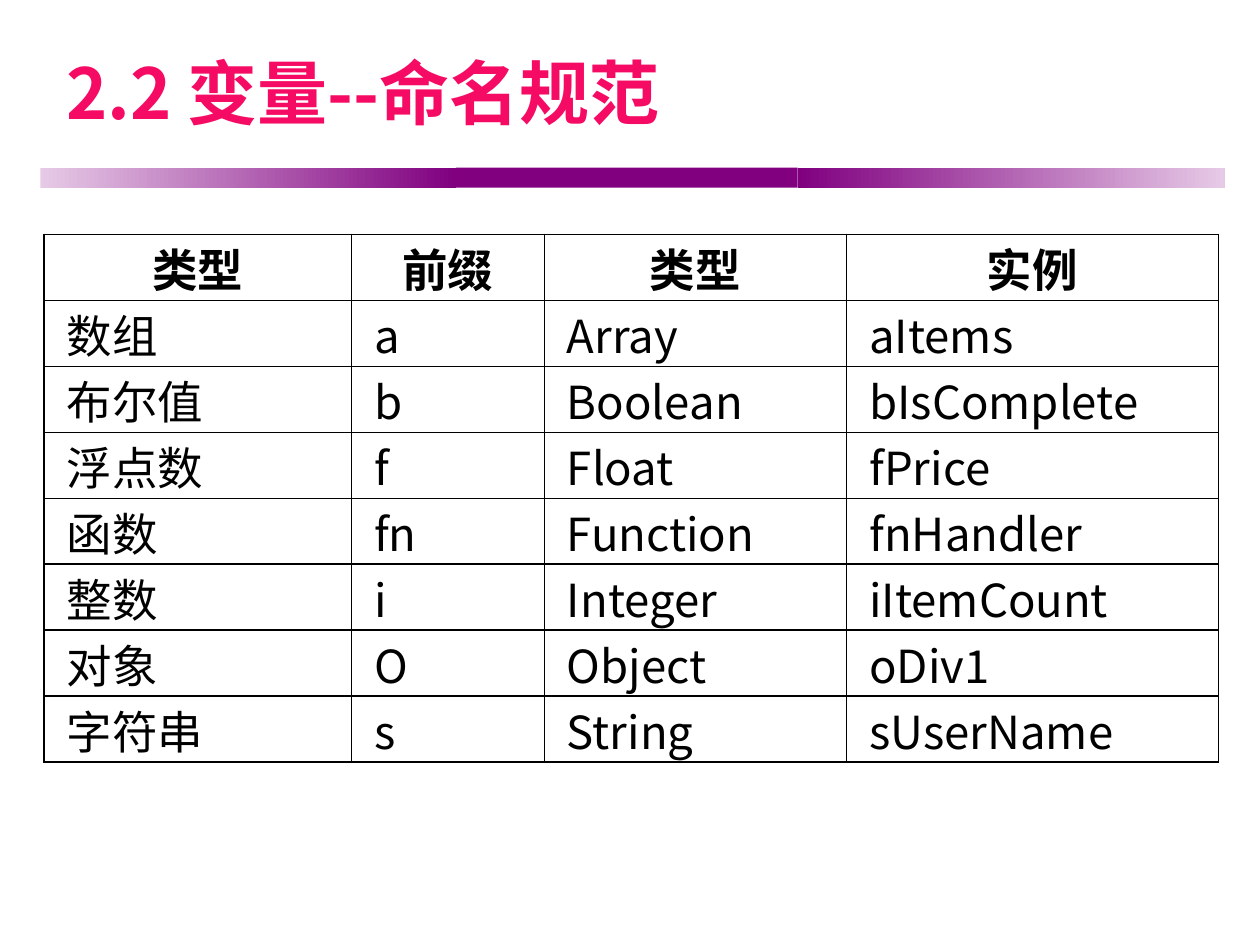
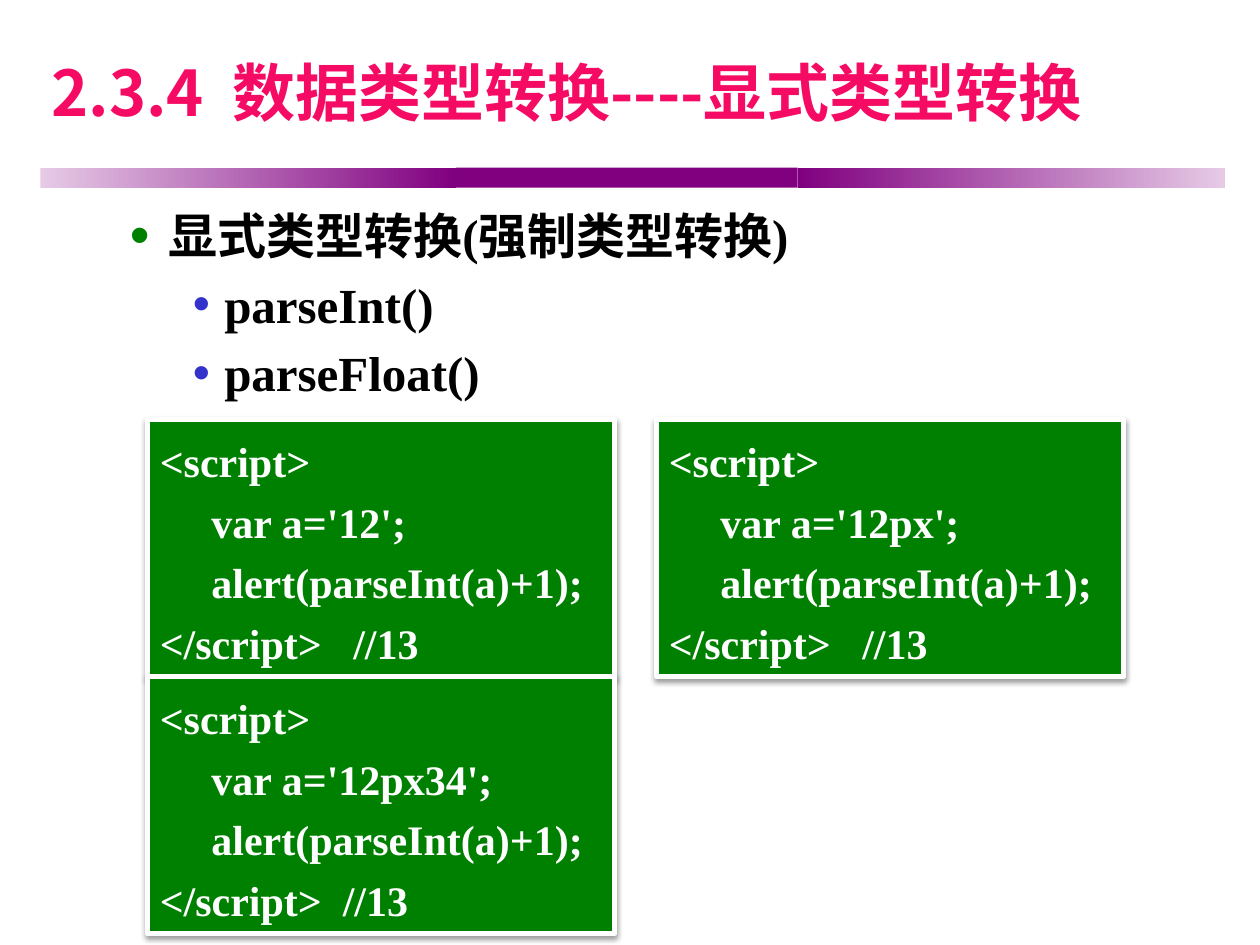
from itertools import accumulate
from lxml.etree import SubElement
from pptx import Presentation
from pptx.dml.color import RGBColor
from pptx.enum.shapes import MSO_SHAPE
from pptx.enum.text import MSO_ANCHOR, MSO_AUTO_SIZE, PP_ALIGN
from pptx.oxml.ns import qn
from pptx.util import Inches, Pt

BLACK, WHITE, GREEN, PURPLE = "000000", "FFFFFF", "008000", "800080"
PINK, BLUE, LILAC = "F50A64", "3333CC", "E6CAE6"
SANS, SERIF, CALIBRI = "Noto Sans CJK SC", "Times New Roman", "Calibri"


def rgb(color):
    return RGBColor.from_string(color)


def add_xml(parent, tag, **attrs):
    return SubElement(parent, qn(tag), {k: str(v) for k, v in attrs.items()})


def style(p, size, font, color, bold=True):
    for r in p.runs:
        r.font.size, r.font.bold, r.font.name = Pt(size), bold, font
        r.font.color.rgb = rgb(color)
        add_xml(r.font._element, "a:ea", typeface=SANS)


def indent(p, left, first=0):
    pPr = p._p.get_or_add_pPr()
    pPr.set("marL", str(Inches(left)))
    pPr.set("indent", str(Inches(first)))
    return pPr


def place(shape, box):
    shape.left, shape.top, shape.width, shape.height = map(Inches, box)


# Shared parts
def add_band(prs, s, left, top, height):
    """Draws the purple band and moves it to the master."""
    widths = (3.3, 2.71, 3.39)
    colors = ((LILAC, PURPLE), (PURPLE,), (PURPLE, LILAC))
    lefts = accumulate(widths, initial=left)
    for i, (x, width, ends) in enumerate(zip(lefts, widths, colors)):
        part = s.shapes.add_shape(MSO_SHAPE.RECTANGLE, *map(Inches, (x, top, width, height)))
        part.name = f"Band {i + 1}"
        part.shadow.inherit = False
        part.line.fill.background()
        if len(ends) == 1:
            part.fill.solid()
            part.fill.fore_color.rgb = rgb(ends[0])
        else:
            part.fill.gradient()
            part.fill.gradient_angle = 0
            for stop, position, color in zip(part.fill.gradient_stops, (0, 1), ends):
                stop.position, stop.color.rgb = position, rgb(color)
        part.element.nvSpPr.cNvPr.set("id", str(101 + i))
        prs.slide_master.shapes.element.append(part.element)


def add_title(s, box, text, size, left_indent=0):
    title = s.shapes.title
    place(title, box)
    tf = title.text_frame
    tf.text = text
    tf.auto_size, tf.vertical_anchor = MSO_AUTO_SIZE.NONE, MSO_ANCHOR.MIDDLE
    p = tf.paragraphs[0]
    p.alignment = PP_ALIGN.LEFT
    indent(p, left_indent)
    style(p, size, SANS, PINK)


# Table of naming rules
def add_borders(cell):
    tcPr = cell._tc.get_or_add_tcPr()
    for i, side in enumerate("LRTB"):
        ln = add_xml(tcPr, f"a:ln{side}", w=Pt(1))
        add_xml(add_xml(ln, "a:solidFill"), "a:srgbClr", val=BLACK)
        tcPr.insert(i, ln)


def fill_cell(cell, text, header, font):
    cell.fill.background()
    add_borders(cell)
    cell.margin_left = cell.margin_right = Inches(0.18)
    cell.margin_top = cell.margin_bottom = 0
    cell.vertical_anchor = MSO_ANCHOR.MIDDLE
    cell.text = text
    p = cell.text_frame.paragraphs[0]
    p.line_spacing = 1.0
    p.alignment = PP_ALIGN.CENTER if header else PP_ALIGN.LEFT
    style(p, 26, font, BLACK, header)


def add_naming_table(s, box, widths, rows):
    table = s.shapes.add_table(len(rows), len(widths), *map(Inches, box)).table
    table.first_row = table.horz_banding = False
    for column, width in zip(table.columns, widths):
        column.width = Inches(width)
    for i, row in enumerate(rows):
        for j, text in enumerate(row):
            font = CALIBRI if i == 0 or j == 0 else SANS
            fill_cell(table.cell(i, j), text, i == 0, font)


# Bulleted list
def add_bullets(s, box, items):
    looks = {1: (0.81, -0.31, GREEN, 115), 2: (1.25, -0.25, BLUE, 100)}
    body = s.placeholders[1]
    place(body, box)
    tf = body.text_frame
    tf.auto_size = MSO_AUTO_SIZE.NONE
    tf.text = "\n".join(text for _, text in items)
    for p, (level, _) in zip(tf.paragraphs, items):
        left, first, color, percent = looks[level]
        p.level = level
        pPr = indent(p, left, first)
        add_xml(add_xml(pPr, "a:buClr"), "a:srgbClr", val=color)
        add_xml(pPr, "a:buSzPct", val=percent * 1000)
        add_xml(pPr, "a:buFont", typeface="Arial")
        add_xml(pPr, "a:buChar", char="•")
        style(p, 28, SERIF, BLACK)


# Code card
def add_code(s, box, value, last_line):
    card = s.shapes.add_shape(MSO_SHAPE.RECTANGLE, *map(Inches, box))
    card.fill.solid()
    card.fill.fore_color.rgb = rgb(GREEN)
    card.line.color.rgb, card.line.width = rgb(WHITE), Pt(3)
    card.shadow.inherit = False
    effects = card.element.spPr.find(qn("a:effectLst"))
    shadow = add_xml(effects, "a:outerShdw", blurRad=Pt(3.1), dist=Pt(1.6),
                     dir=90 * 60000, rotWithShape=0)
    add_xml(add_xml(shadow, "a:srgbClr", val=BLACK), "a:alpha", val=38000)
    tf = card.text_frame
    tf.word_wrap, tf.vertical_anchor = True, MSO_ANCHOR.TOP
    tf.text = f"<script>\nvar a='{value}';\nalert(parseInt(a)+1);\n{last_line}"
    for p, left in zip(tf.paragraphs, (0, 0.41, 0.41, 0)):
        p.alignment, p.line_spacing = PP_ALIGN.LEFT, 1.2
        indent(p, left)
        style(p, 24, SERIF, WHITE)


def add_code_grid(s, left, top, cards):
    width, height, gap = 3.71, 2.04, 0.33
    for i, (value, last_line) in enumerate(cards):
        row, column = divmod(i, 2)
        box = (left + column * (width + gap), top + row * height, width, height)
        add_code(s, box, value, last_line)


prs = Presentation()
prs.slide_width, prs.slide_height = Inches(10), Inches(7.5)

# Slide 1: naming rules
s = prs.slides.add_slide(prs.slide_layouts[5])
add_band(prs, s, 0.32, 1.33, 0.16)
add_title(s, (0.43, 0.17, 9.06, 1.11), "2.2 变量--命名规范", 40)
add_naming_table(s, (0.35, 1.86, 9.33, 4.03), (2.44, 1.53, 2.4, 2.95), [
    ("类型", "前缀", "类型", "实例"),
    ("数组", "a", "Array", "aItems"),
    ("布尔值", "b", "Boolean", "bIsComplete"),
    ("浮点数", "f", "Float", "fPrice"),
    ("函数", "fn", "Function", "fnHandler"),
    ("整数", "i", "Integer", "iItemCount"),
    ("对象", "O", "Object", "oDiv1"),
    ("字符串", "s", "String", "sUserName"),
])

# Slide 2: explicit conversion
s = prs.slides.add_slide(prs.slide_layouts[1])
add_title(s, (0.08, 0.17, 9.06, 1.11), "2.3.4  数据类型转换----显式类型转换", 36, 0.23)
add_bullets(s, (0.43, 1.58, 9.21, 1.75), [
    (1, "显式类型转换(强制类型转换)"),
    (2, "parseInt()"),
    (2, "parseFloat()"),
])
add_code_grid(s, 1.17, 3.33, [
    ("12", "</script>   //13"),
    ("12px", "</script>   //13"),
    ("12px34", "</script>  //13"),
])

prs.save("out.pptx")
